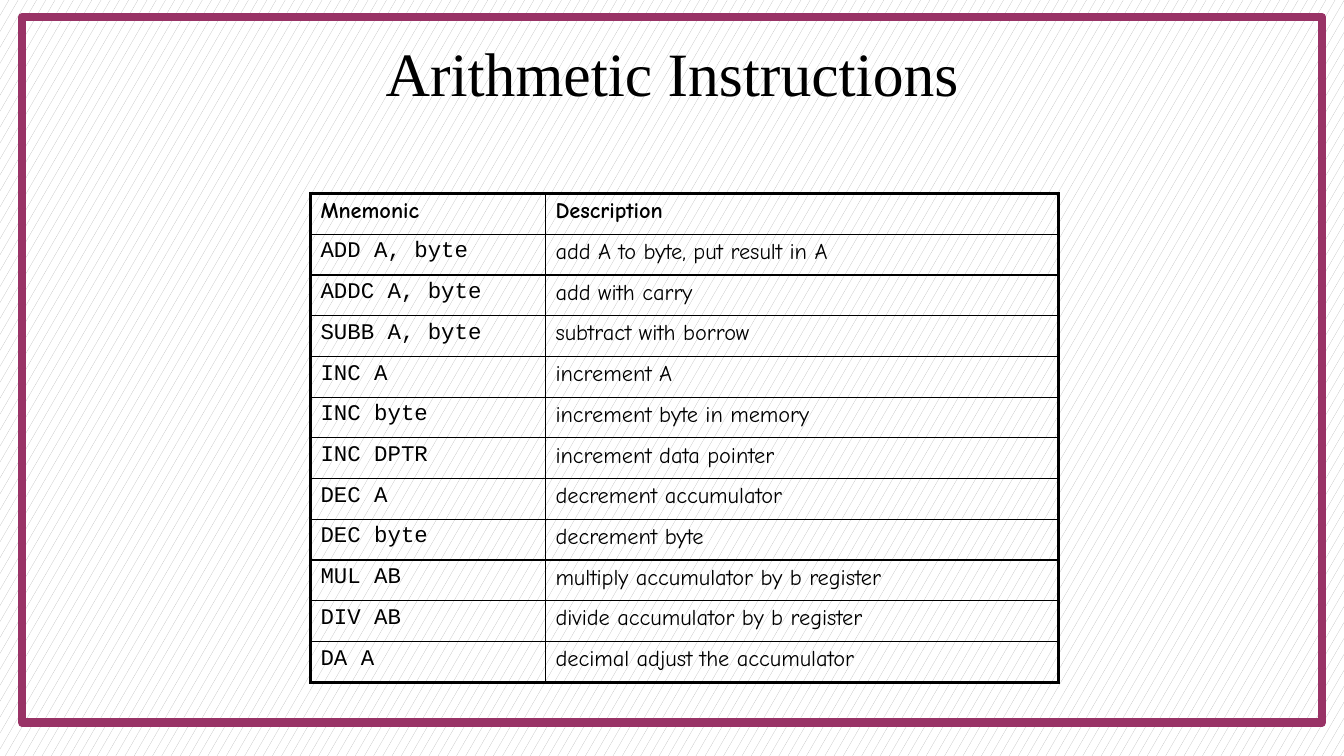
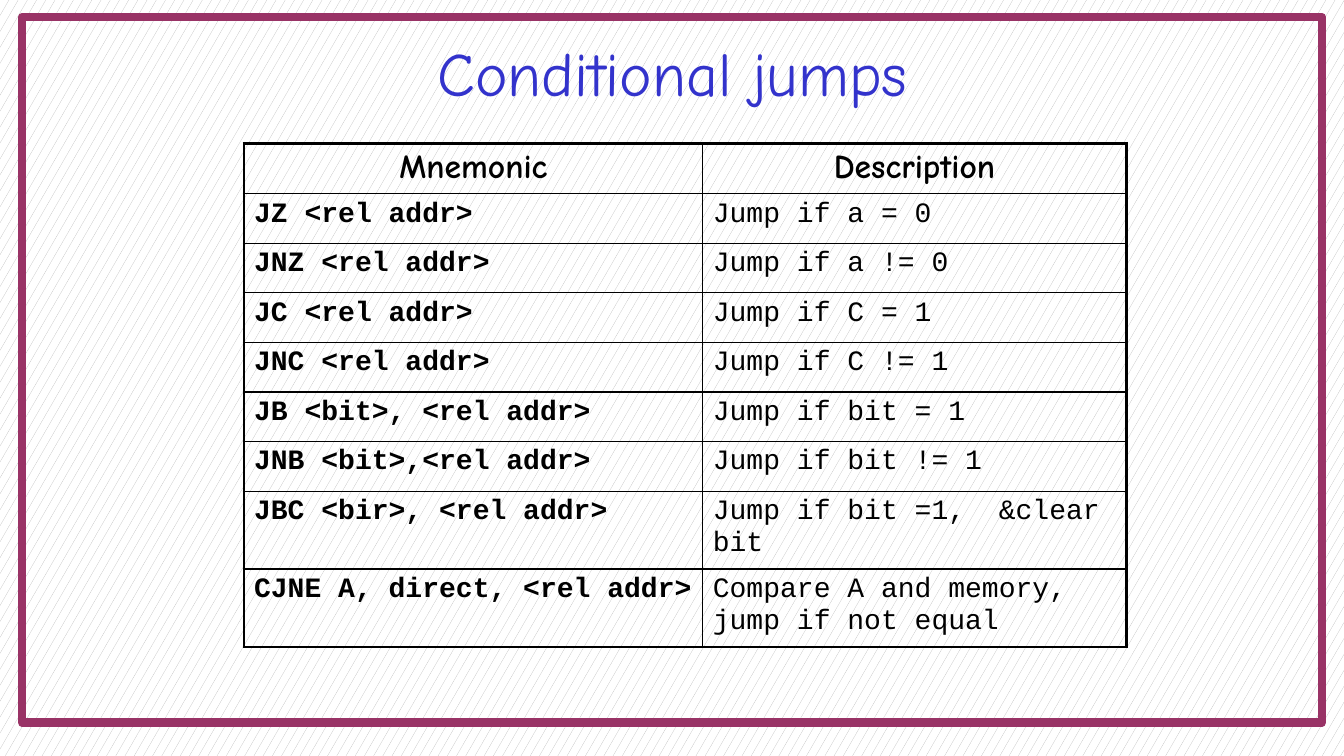
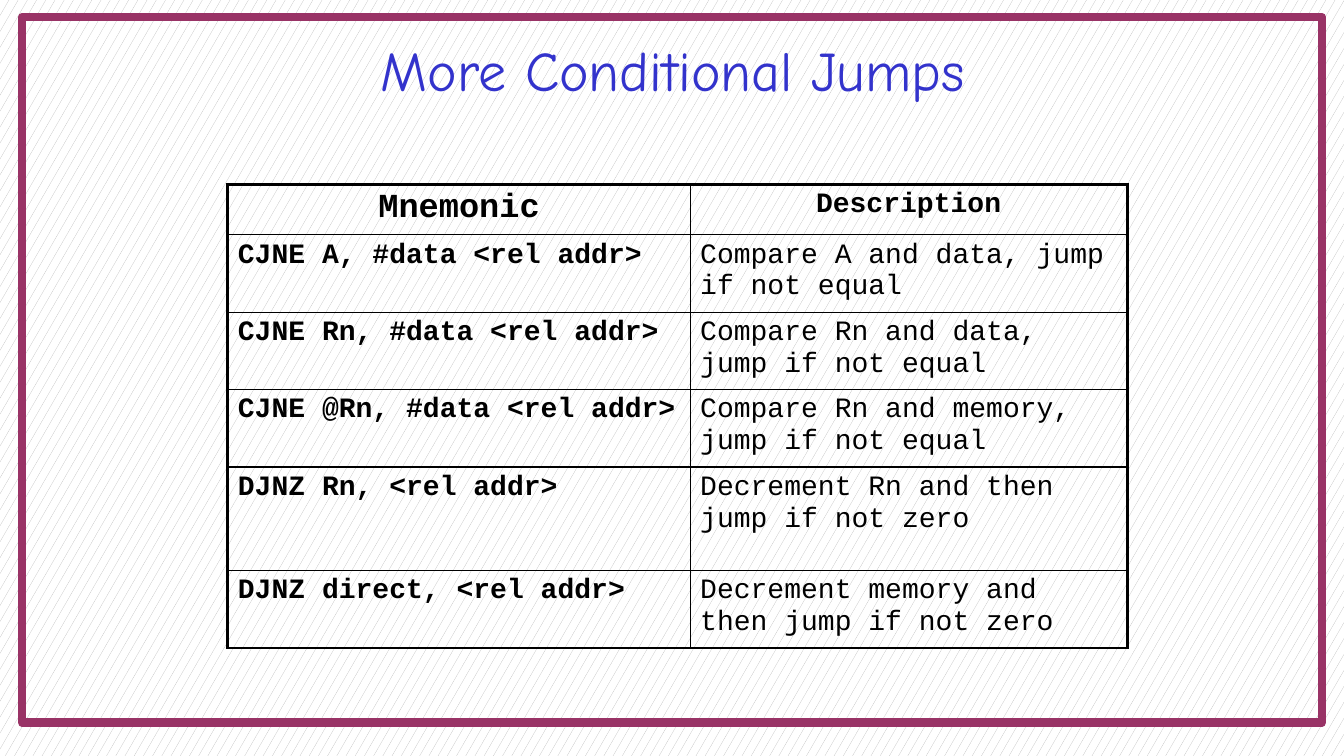
from dataclasses import dataclass

from lxml import etree
from pptx import Presentation
from pptx.dml.color import RGBColor
from pptx.enum.dml import MSO_PATTERN
from pptx.enum.shapes import MSO_SHAPE
from pptx.enum.text import MSO_ANCHOR, MSO_AUTO_SIZE, PP_ALIGN
from pptx.oxml.ns import qn
from pptx.util import Inches, Pt

BLACK, BLUE, PLUM = "000000", "3333CC", "993366"
WHITE, GREY = "FFFFFF", "B2B2B2"
HAND, CODE, SERIF = "Comic Neue", "Courier New", "Times New Roman"
TITLE_BOX = (0.67, 0.3, 12, 1.25)
FRAME_BOX = (0.22, 0.17, 12.89, 7)
TITLE_ONLY = 5
THICK, THIN = 2.25, 1


@dataclass
class ColumnStyle:
    """Describe the header and body type of one table column."""

    width: float
    header_font: str
    header_size: int
    body_font: str
    body_size: int
    body_bold: bool = False


ARITHMETIC_ROWS = [
    ("Mnemonic", "Description"),
    ("ADD A, byte", "add A to byte, put result in A"),
    ("ADDC A, byte", "add with carry"),
    ("SUBB A, byte", "subtract with borrow"),
    ("INC A", "increment A"),
    ("INC byte", "increment byte in memory"),
    ("INC DPTR", "increment data pointer"),
    ("DEC A", "decrement accumulator"),
    ("DEC byte", "decrement byte"),
    ("MUL AB", "multiply accumulator by b register"),
    ("DIV AB", "divide accumulator by b register"),
    ("DA A", "decimal adjust the accumulator"),
]
JUMP_ROWS = [
    ("Mnemonic", "Description"),
    ("JZ <rel addr>", "Jump if a = 0"),
    ("JNZ <rel addr>", "Jump if a != 0"),
    ("JC <rel addr>", "Jump if C = 1"),
    ("JNC <rel addr>", "Jump if C != 1"),
    ("JB <bit>, <rel addr>", "Jump if bit = 1"),
    ("JNB <bit>,<rel addr>", "Jump if bit != 1"),
    ("JBC <bir>, <rel addr>", "Jump if bit =1,  &clear bit"),
    ("CJNE A, direct, <rel addr>", "Compare A and memory, jump if not equal"),
]
MORE_JUMP_ROWS = [
    ("Mnemonic", "Description"),
    ("CJNE A, #data <rel addr>", "Compare A and data, jump if not equal"),
    ("CJNE Rn, #data <rel addr>", "Compare Rn and data, jump if not equal"),
    ("CJNE @Rn, #data <rel addr>", "Compare Rn and memory, jump if not equal"),
    ("DJNZ Rn, <rel addr>", "Decrement Rn and then jump if not zero"),
    ("DJNZ direct, <rel addr>", "Decrement memory and then jump if not zero"),
]


def color(value):
    """Turn a hex string into a colour."""
    return RGBColor.from_string(value)


def place(shape, box):
    """Move a shape to a box given in inches."""
    shape.left, shape.top, shape.width, shape.height = map(Inches, box)


def format_paragraph(paragraph, font, size, ink, bold, alignment):
    """Set the alignment and type of a paragraph."""
    paragraph.alignment = alignment
    for span in paragraph.runs:
        span.font.name = font
        span.font.size = Pt(size)
        span.font.bold = bold
        span.font.color.rgb = color(ink)


def style_master(deck):
    """Give the master its patterned background and title place."""
    fill = deck.slide_master.background.fill
    fill.patterned()
    fill.pattern = MSO_PATTERN.SMALL_CONFETTI
    fill.fore_color.rgb = color(GREY)
    fill.back_color.rgb = color(WHITE)
    title = deck.slide_master.placeholders[0]
    place(title, TITLE_BOX)
    title.text_frame.vertical_anchor = MSO_ANCHOR.TOP
    title.text_frame.auto_size = MSO_AUTO_SIZE.NONE


def add_master_frame(deck, page):
    """Draw the border and move it from the page to the master."""
    frame = page.shapes.add_shape(MSO_SHAPE.RECTANGLE, *map(Inches, FRAME_BOX))
    frame.shadow.inherit = False
    frame.fill.background()
    frame.line.color.rgb = color(PLUM)
    frame.line.width = Pt(6)
    deck.slide_master.shapes.element.insert(2, frame.element)


def add_page(deck, title, font, size, ink, box=TITLE_BOX):
    """Add a page with a formatted title."""
    page = deck.slides.add_slide(deck.slide_layouts[TITLE_ONLY])
    heading = page.shapes.title
    place(heading, box)
    heading.text_frame.text = title
    paragraph = heading.text_frame.paragraphs[0]
    format_paragraph(paragraph, font, size, ink, False, PP_ALIGN.CENTER)
    return page


def set_borders(cell, widths):
    """Draw the left, right, top and bottom borders of a cell."""
    properties = cell._tc.get_or_add_tcPr()
    for side, width in zip("LRTB", widths):
        line = etree.SubElement(properties, qn(f"a:ln{side}"), w=str(Pt(width)))
        fill = etree.SubElement(line, qn("a:solidFill"))
        etree.SubElement(fill, qn("a:srgbClr"), val=BLACK)


def share(total, weights):
    """Split a length in proportion to the weights."""
    return [Inches(total * weight / sum(weights)) for weight in weights]


def add_instruction_table(page, box, rows, columns, heights):
    """Add a ruled table with a thick outer border."""
    shape = page.shapes.add_table(len(rows), len(columns), *map(Inches, box))
    table = shape.table
    table.first_row = table.horz_banding = False
    for column, width in zip(table.columns, share(box[2], [c.width for c in columns])):
        column.width = width
    for row, height in zip(table.rows, share(box[3], heights)):
        row.height = height
    last_row, last_column = len(rows) - 1, len(columns) - 1
    for row_index, texts in enumerate(rows):
        for column_index, (text, style) in enumerate(zip(texts, columns)):
            cell = table.cell(row_index, column_index)
            edges = (column_index == 0, column_index == last_column,
                     row_index == 0, row_index == last_row)
            set_borders(cell, [THICK if edge else THIN for edge in edges])
            cell.fill.background()
            cell.text_frame.text = text
            paragraph = cell.text_frame.paragraphs[0]
            if row_index == 0:
                centred = style.header_size > 16
                format_paragraph(paragraph, style.header_font, style.header_size, BLACK,
                                 True, PP_ALIGN.CENTER if centred else PP_ALIGN.LEFT)
            else:
                format_paragraph(paragraph, style.body_font, style.body_size, BLACK,
                                 style.body_bold, PP_ALIGN.LEFT)


def build_arithmetic(deck):
    """Build the page of arithmetic instructions."""
    page = add_page(deck, "Arithmetic Instructions", SERIF, 44, BLACK)
    columns = [ColumnStyle(2.33, HAND, 16, CODE, 16), ColumnStyle(5.09, HAND, 16, HAND, 16)]
    add_instruction_table(page, (3.08, 1.92, 7.42, 4.85), ARITHMETIC_ROWS, columns,
                          [1] * len(ARITHMETIC_ROWS))
    return page


def build_jumps(deck):
    """Build the page of conditional jumps."""
    page = add_page(deck, "Conditional jumps", HAND, 44, BLUE)
    columns = [ColumnStyle(4.55, HAND, 24, CODE, 20, True),
               ColumnStyle(4.2, HAND, 24, CODE, 20)]
    add_instruction_table(page, (2.42, 1.42, 8.75, 5), JUMP_ROWS, columns,
                          [0.5] + [0.49] * 6 + [0.77] * 2)


def build_more_jumps(deck):
    """Build the second page of conditional jumps."""
    page = add_page(deck, "More Conditional Jumps", HAND, 40, BLUE, (2.17, 0.3, 9, 0.77))
    columns = [ColumnStyle(4.58, CODE, 24, CODE, 20, True),
               ColumnStyle(4.33, CODE, 20, CODE, 20)]
    add_instruction_table(page, (2.26, 1.83, 8.92, 4.6), MORE_JUMP_ROWS, columns,
                          [0.5] + [0.77] * 3 + [1.03, 0.77])


def main():
    """Build and save the deck."""
    deck = Presentation()
    deck.slide_width, deck.slide_height = Inches(13.33), Inches(7.5)
    style_master(deck)
    add_master_frame(deck, build_arithmetic(deck))
    build_jumps(deck)
    build_more_jumps(deck)
    deck.save("out.pptx")


if __name__ == "__main__":
    main()
